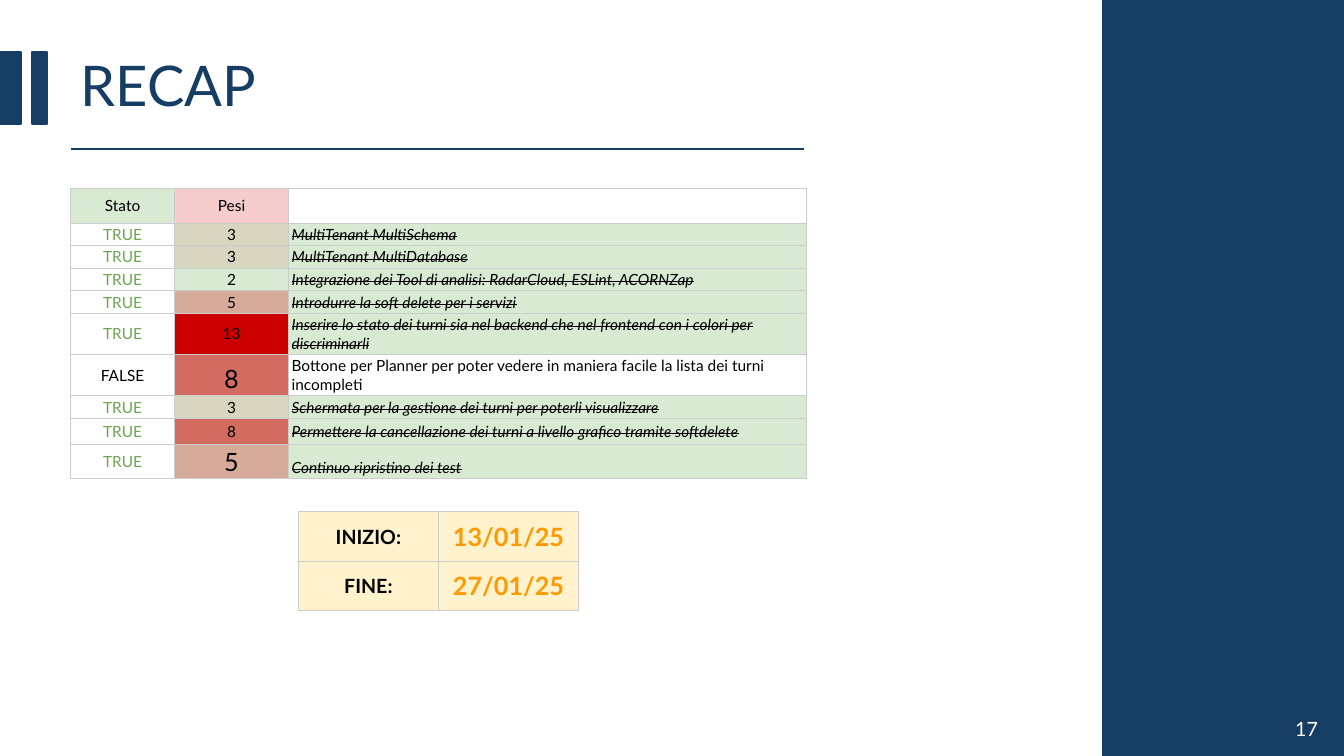
from dataclasses import dataclass

from lxml import etree
from pptx import Presentation
from pptx.dml.color import RGBColor
from pptx.enum import shapes, text
from pptx.oxml import ns
from pptx.util import Cm, Pt

FONT = "Lato"
NAVY = RGBColor(0x16, 0x3E, 0x64)
WHITE = RGBColor(0xFF, 0xFF, 0xFF)
BLACK = RGBColor(0, 0, 0)
GREEN = RGBColor(0x6A, 0xA8, 0x4F)
PALE_GREEN = RGBColor(0xD9, 0xEA, 0xD3)
PINK = RGBColor(0xF4, 0xCC, 0xCC)
CREAM = RGBColor(0xFF, 0xF2, 0xCC)
ORANGE = RGBColor(0xFF, 0x99, 0x00)
BORDER = RGBColor(0xCC, 0xCC, 0xCC)
WEIGHT_FILLS = {
    2: PALE_GREEN,
    3: RGBColor(0xD8, 0xD5, 0xC0),
    5: RGBColor(0xD6, 0xAB, 0x9A),
    8: RGBColor(0xD2, 0x6B, 0x60),
    13: RGBColor(0xCC, 0, 0),
}
CENTER = text.PP_ALIGN.CENTER
MIDDLE = text.MSO_ANCHOR.MIDDLE
BOTTOM = text.MSO_ANCHOR.BOTTOM


@dataclass
class Task:
    weight: int
    description: str
    height: float = 0.57
    done: bool = True
    large: bool = False


@dataclass
class Bar:
    left: float
    top: float
    width: float
    height: float


TASKS = [
    Task(3, "MultiTenant MultiSchema"),
    Task(3, "MultiTenant MultiDatabase"),
    Task(2, "Integrazione dei Tool di analisi: RadarCloud, ESLint, ACORNZap"),
    Task(5, "Introdurre la soft delete per i servizi"),
    Task(13, "Inserire lo stato dei turni sia nel backend che nel frontend "
             "con i colori per discriminarli", 1.04),
    Task(8, "Bottone per Planner per poter vedere in maniera facile la lista "
            "dei turni incompleti", 1.04, done=False, large=True),
    Task(3, "Schermata per la gestione dei turni per poterli visualizzare"),
    Task(8, "Permettere la cancellazione dei turni a livello grafico tramite "
            "softdelete", 0.65),
    Task(5, "Continuo ripristino dei test", 0.85, large=True),
]
DATES = [("INIZIO:", "13/01/25"), ("FINE:", "27/01/25")]
BARS = [Bar(0, 1.32, 0.53, 1.8), Bar(0.81, 1.32, 0.38, 1.8), Bar(27.8, 0, 6.07, 19.05)]


def write(tf, content: str, size=11, color=BLACK, align=text.PP_ALIGN.LEFT,
          bold=False, italic=False, strike=False):
    p = tf.paragraphs[0]
    p.alignment = align
    r = p.add_run()
    r.text = content
    r.font.name, r.font.size = FONT, Pt(size)
    r.font.bold, r.font.italic = bold, italic
    r.font.color.rgb = color
    if strike:
        r._r.get_or_add_rPr().set("strike", "sngStrike")
    return p


def add_bar(s, bar: Bar) -> None:
    sp = s.shapes.add_shape(shapes.MSO_SHAPE.RECTANGLE, Cm(bar.left), Cm(bar.top),
                            Cm(bar.width), Cm(bar.height))
    sp.shadow.inherit = False
    sp.fill.solid()
    sp.fill.fore_color.rgb = NAVY
    sp.line.color.rgb = NAVY
    sp.line.width = Pt(1.5)


def add_grid(s, left: float, top: float, widths: list[float], heights: list[float]):
    """Add a plain table with thin grey borders and narrow margins."""
    table = s.shapes.add_table(len(heights), len(widths), Cm(left), Cm(top),
                               Cm(sum(widths)), Cm(sum(heights))).table
    table.first_row = table.horz_banding = False
    for column, width in zip(table.columns, widths):
        column.width = Cm(width)
    for row, height in zip(table.rows, heights):
        row.height = Cm(height)
    for cell in table.iter_cells():
        cell.margin_left = cell.margin_right = Cm(0.08)
        cell.margin_top = cell.margin_bottom = Cm(0.05)
        tc_pr = cell._tc.get_or_add_tcPr()
        for side in ("a:lnL", "a:lnR", "a:lnT", "a:lnB"):
            ln = etree.SubElement(tc_pr, ns.qn(side), w=str(Pt(0.75)))
            fill = etree.SubElement(ln, ns.qn("a:solidFill"))
            etree.SubElement(fill, ns.qn("a:srgbClr"), val=str(BORDER))
        cell.fill.solid()
        cell.fill.fore_color.rgb = WHITE
    return table


def fill_cell(cell, content: str, fill=WHITE, anchor=MIDDLE, **style) -> None:
    cell.fill.fore_color.rgb = fill
    cell.vertical_anchor = anchor
    write(cell.text_frame, content, **style)


def add_dates(s) -> None:
    table = add_grid(s, 7.52, 12.9, [3.53] * 2, [1.24] * len(DATES))
    for i, (label, date) in enumerate(DATES):
        fill_cell(table.cell(i, 0), label, CREAM, size=14, align=CENTER, bold=True)
        fill_cell(table.cell(i, 1), date, CREAM, size=18, color=ORANGE,
                  align=CENTER, bold=True)


def add_tasks(s) -> None:
    table = add_grid(s, 1.78, 4.75, [2.62, 2.87, 13.05],
                     [0.87] + [task.height for task in TASKS])
    fill_cell(table.cell(0, 0), "Stato", PALE_GREEN, align=CENTER)
    fill_cell(table.cell(0, 1), "Pesi", PINK, align=CENTER)
    for i, task in enumerate(TASKS, start=1):
        anchor = BOTTOM if task.large else MIDDLE
        fill_cell(table.cell(i, 0), str(task.done).upper(), align=CENTER,
                  color=GREEN if task.done else BLACK)
        fill_cell(table.cell(i, 1), str(task.weight), WEIGHT_FILLS[task.weight],
                  anchor, size=18 if task.large else 11, align=CENTER)
        fill_cell(table.cell(i, 2), task.description,
                  PALE_GREEN if task.done else WHITE, anchor,
                  italic=task.done, strike=task.done)


def main() -> None:
    prs = Presentation()
    prs.slide_width, prs.slide_height = Cm(33.87), Cm(19.05)
    s = prs.slides.add_slide(prs.slide_layouts[5])

    title = s.shapes.title
    title.left, title.top, title.width, title.height = Cm(1.78), Cm(1.32), Cm(20.68), Cm(1.8)
    tf = title.text_frame
    tf.auto_size = text.MSO_AUTO_SIZE.NONE
    tf.vertical_anchor = MIDDLE
    write(tf, "RECAP", size=40, color=NAVY).line_spacing = 0.9

    for bar in BARS:
        add_bar(s, bar)

    rule = s.shapes.add_connector(shapes.MSO_CONNECTOR.STRAIGHT,
                                  Cm(1.78), Cm(3.76), Cm(20.27), Cm(3.76))
    rule.line.color.rgb = NAVY
    rule.line.width = Pt(1.5)
    etree.SubElement(rule._element.spPr, ns.qn("a:effectLst"))

    number = s.shapes.add_textbox(Cm(32.39), Cm(17.93), Cm(1.22), Cm(0.86))
    number.text_frame.word_wrap = True
    write(number.text_frame, "17", size=14, color=WHITE)

    add_dates(s)
    add_tasks(s)
    prs.save("out.pptx")


if __name__ == "__main__":
    main()
